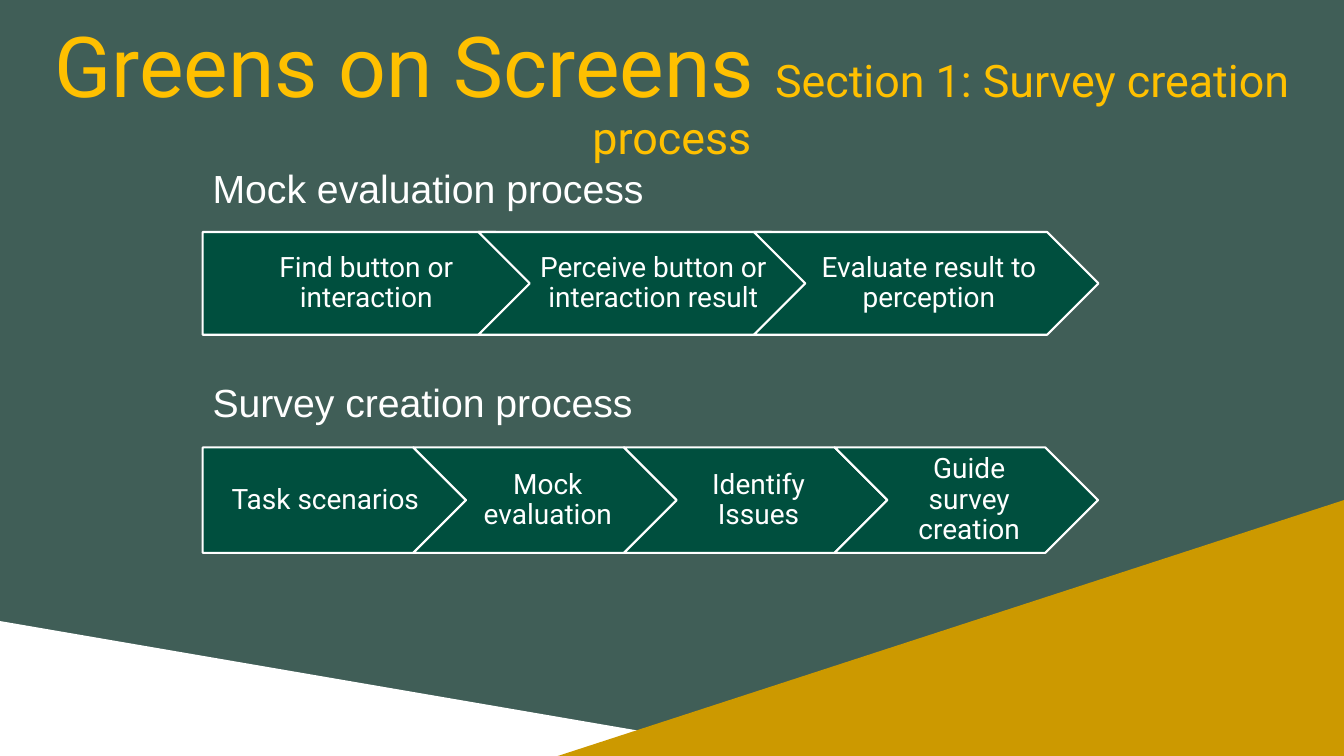
from dataclasses import dataclass

from pptx import Presentation as new_presentation
from pptx.dml.color import RGBColor
from pptx.enum.shapes import MSO_SHAPE as Preset
from pptx.enum.text import MSO_ANCHOR as Anchor, MSO_AUTO_SIZE as AutoSize, PP_ALIGN as Align
from pptx.util import Pt

COLORS = {
    "background": "405E57",
    "step": "004F3E",
    "white": "FFFFFF",
    "gold": "CC9900",
    "title": "FFC000",
}
SLIDE_WIDTH, SLIDE_HEIGHT = 960, 540
PROCESS_LEFT = 144.8
STEP_PITCH = 0.8  # distance between steps as a share of their width


@dataclass
class Corner:
    left: float
    top: float
    width: float
    apex: float
    color: str


@dataclass
class Process:
    top: float
    width: float
    height: float
    steps: tuple[str, ...]


CORNERS = (
    Corner(0, 443.6, 561.6, 0, "white"),
    Corner(398.4, 357.2, 561.6, 1, "gold"),
)
PROCESSES = (
    Process(319.6, 188.1, 75.3,
            ("Task scenarios", "Mock evaluation", "Identify Issues", "Guide survey creation")),
    Process(165.7, 246.1, 73.4,
            ("Find button or interaction", "Perceive button or interaction result",
             "Evaluate result to perception")),
)


def rgb(name: str) -> RGBColor:
    return RGBColor.from_string(COLORS[name])


def add_text(shapes, box, paragraphs, *, font="Roboto", color="white", align=Align.CENTER,
             line_spacing=0.9, gap=0, insets=(7.2, 3.6, 7.2, 3.6), auto_size=AutoSize.NONE):
    """Add a text box; each paragraph is a list of (text, size) runs."""
    shape = shapes.add_textbox(*map(Pt, box))
    frame = shape.text_frame
    frame.word_wrap = True
    frame.auto_size = auto_size
    frame.vertical_anchor = Anchor.MIDDLE
    (frame.margin_left, frame.margin_top,
     frame.margin_right, frame.margin_bottom) = map(Pt, insets)
    for index, runs in enumerate(paragraphs):
        paragraph = frame.add_paragraph() if index else frame.paragraphs[0]
        paragraph.alignment = align
        paragraph.line_spacing = line_spacing
        if index and gap:
            paragraph.space_before = Pt(gap)
        for text, size in runs:
            run = paragraph.add_run()
            run.text = text
            run.font.name = font
            run.font.size = Pt(size)
            run.font.color.rgb = rgb(color)
    return shape


def add_filled(shapes, preset, box, color: str):
    shape = shapes.add_shape(preset, *map(Pt, box))
    shape.shadow.inherit = False
    shape.fill.solid()
    shape.fill.fore_color.rgb = rgb(color)
    shape.line.fill.background()
    return shape


def add_process(slide, process: Process) -> None:
    shapes = slide.shapes.add_group_shape().shapes
    top, width, height = process.top, process.width, process.height
    for index, label in enumerate(process.steps):
        left = PROCESS_LEFT + index * width * STEP_PITCH
        preset = Preset.CHEVRON if index else Preset.PENTAGON
        arrow = add_filled(shapes, preset, (left, top, width, height), "step")
        arrow.line.color.rgb = rgb("white")
        arrow.line.width = Pt(1.5)
        # Labels keep clear of the slanted ends
        if index:
            box, inset = (left + height / 2, top, width - height, height), 6
        else:
            box, inset = (left, top, width - height / 4, height), 8
        add_text(shapes, box, [[(label, 20)]], insets=(inset, 4, 2, 4))


def main() -> None:
    presentation = new_presentation()
    presentation.slide_width = Pt(SLIDE_WIDTH)
    presentation.slide_height = Pt(SLIDE_HEIGHT)
    slide = presentation.slides.add_slide(presentation.slide_layouts[6])
    slide.background.fill.solid()
    slide.background.fill.fore_color.rgb = rgb("background")

    # Corner triangles
    for corner in CORNERS:
        box = (corner.left, corner.top, corner.width, SLIDE_HEIGHT - corner.top)
        triangle = add_filled(slide.shapes, Preset.ISOSCELES_TRIANGLE, box, corner.color)
        triangle.adjustments[0] = corner.apex

    # Title
    add_text(slide.shapes, (0, 0, SLIDE_WIDTH, 134.6),
             [[("Greens on Screens ", 60), ("Section 1: Survey creation process", 32)]],
             color="title")

    # Process arrows
    for process in PROCESSES:
        add_process(slide, process)

    # Process headings
    add_text(slide.shapes, (PROCESS_LEFT, 100, 540, 204.5),
             [[("Mock evaluation process", 28)], [("Survey creation process", 28)]],
             font="Arial", align=Align.LEFT, line_spacing=1.5, gap=103,
             auto_size=AutoSize.SHAPE_TO_FIT_TEXT)

    presentation.save("out.pptx")


if __name__ == "__main__":
    main()
